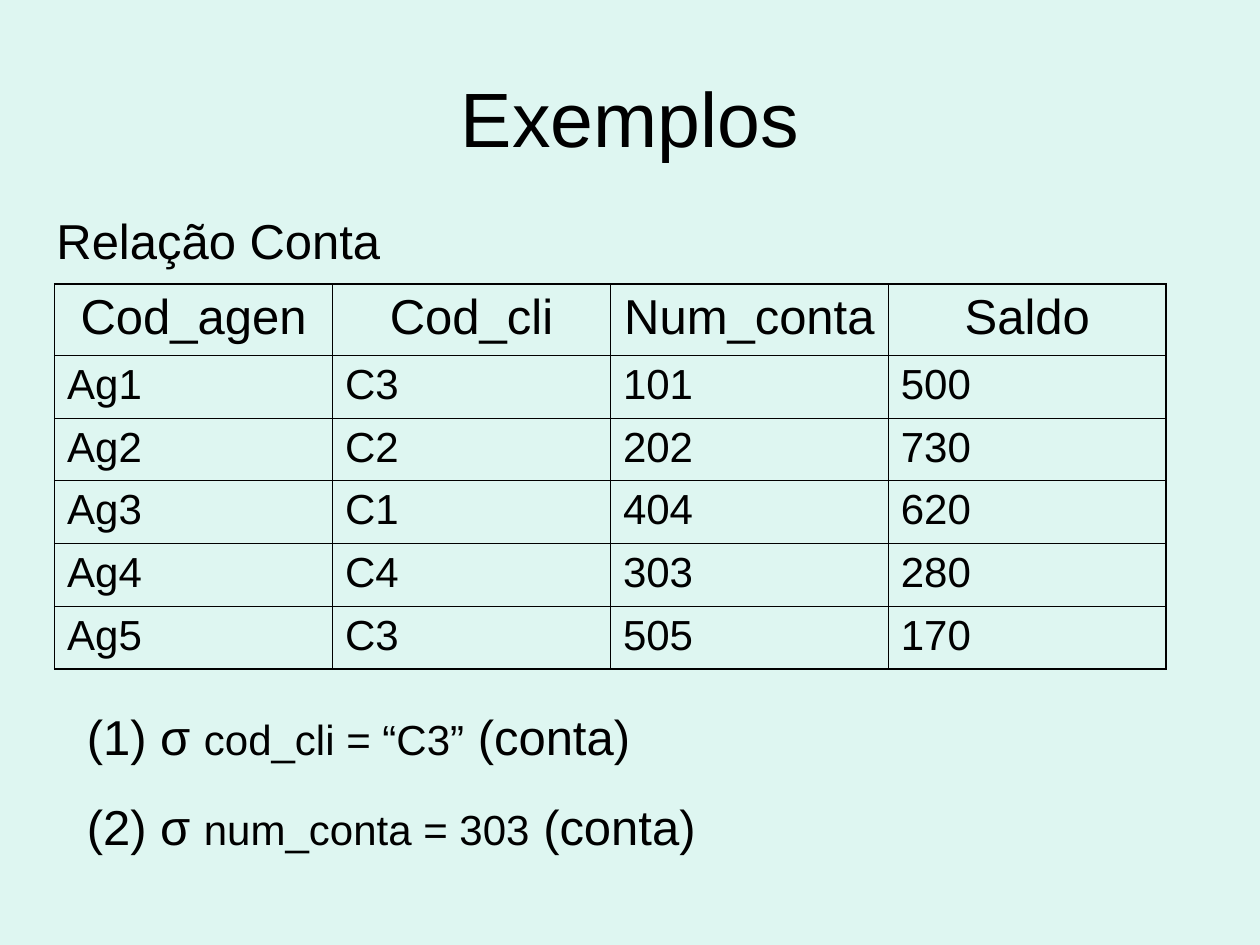
from dataclasses import dataclass

import pptx
import pptx.dml.color
import pptx.enum.text
import pptx.oxml.ns
import pptx.util
from lxml import etree

Pt = pptx.util.Pt
RGB = pptx.dml.color.RGBColor
Align = pptx.enum.text.PP_ALIGN
Anchor = pptx.enum.text.MSO_ANCHOR
Fit = pptx.enum.text.MSO_AUTO_SIZE
qn = pptx.oxml.ns.qn


@dataclass(frozen=True)
class Theme:
    face: str = "Arial"
    ink: str = "000000"
    back: str = "DEF6F1"
    title: float = 44
    large: float = 28
    small: float = 24
    thick: float = 1.08
    thin: float = 0.45


@dataclass(frozen=True)
class Part:
    text: str
    size: float


@dataclass(frozen=True)
class Box:
    left: float
    top: float
    width: float
    height: float
    lines: list[list[Part]]
    align: Align = Align.LEFT
    anchor: Anchor = Anchor.TOP
    fit: Fit = Fit.SHAPE_TO_FIT_TEXT


THEME = Theme()


def style(para, align: Align) -> None:
    """Set what all runs of a paragraph share."""
    para.alignment = align
    para.font.name = THEME.face
    para.font.color.rgb = RGB.from_string(THEME.ink)


def draw_box(slide, box: Box) -> None:
    shape = slide.shapes.add_textbox(
        Pt(box.left), Pt(box.top), Pt(box.width), Pt(box.height))
    frame = shape.text_frame
    frame.word_wrap = True
    frame.auto_size = box.fit
    frame.vertical_anchor = box.anchor
    for i, line in enumerate(box.lines):
        para = frame.add_paragraph() if i else frame.paragraphs[0]
        style(para, box.align)
        if i:
            para.space_before = Pt(17.5)
        if len({part.size for part in line}) == 1:
            para.font.size = Pt(line[0].size)
        for part in line:
            run = para.add_run()
            run.text = part.text
            if len(line) > 1:
                run.font.size = Pt(part.size)


def rule(cell, side: str, width: float) -> None:
    """Draw one border of a cell."""
    props = cell._tc.get_or_add_tcPr()
    line = etree.SubElement(props, qn(f"a:ln{side}"), w=str(Pt(width)))
    fill = etree.SubElement(line, qn("a:solidFill"))
    etree.SubElement(fill, qn("a:srgbClr"), val=THEME.ink)


def draw_table(slide, rows: list[list[str]], left: float, top: float,
               col: float, head: float, body: float) -> None:
    high, wide = len(rows), len(rows[0])
    table = slide.shapes.add_table(
        high, wide, Pt(left), Pt(top), Pt(col * wide),
        Pt(head + body * (high - 1))).table
    table.first_row = table.horz_banding = False
    for column in table.columns:
        column.width = Pt(col)
    for r, row in enumerate(rows):
        table.rows[r].height = Pt(body if r else head)
        for c, text in enumerate(row):
            cell = table.cell(r, c)
            cell.text = text
            para = cell.text_frame.paragraphs[0]
            style(para, Align.LEFT if r else Align.CENTER)
            para.font.size = Pt(THEME.small if r else THEME.large)
            # Thick lines on the outer edge, thin ones inside
            edges = {"L": c == 0, "R": c == wide - 1,
                     "T": r == 0, "B": r == high - 1}
            for side, outer in edges.items():
                rule(cell, side, THEME.thick if outer else THEME.thin)
            cell.fill.background()


def query(num: int, test: str) -> list[Part]:
    return [Part(f"({num}) σ ", THEME.large), Part(test, THEME.small),
            Part(" (conta)", THEME.large)]


ROWS = [
    ["Cod_agen", "Cod_cli", "Num_conta", "Saldo"],
    ["Ag1", "C3", "101", "500"],
    ["Ag2", "C2", "202", "730"],
    ["Ag3", "C1", "404", "620"],
    ["Ag4", "C4", "303", "280"],
    ["Ag5", "C3", "505", "170"],
]

TITLE = Box(36, 21.6, 648, 90, [[Part("Exemplos", THEME.title)]],
            Align.CENTER, Anchor.MIDDLE, Fit.NONE)
LABEL = Box(25.2, 116.6, 272, 41, [[Part("Relação Conta", THEME.large)]])
TESTS = ["cod_cli = “C3”", "num_conta = 303"]
QUERIES = Box(42.5, 400.3, 402.5, 92,
              [query(i, test) for i, test in enumerate(TESTS, 1)])


def main() -> None:
    deck = pptx.Presentation()
    deck.slide_width, deck.slide_height = Pt(720), Pt(540)
    slide = deck.slides.add_slide(deck.slide_layouts[6])
    fill = slide.background.fill
    fill.solid()
    fill.fore_color.rgb = RGB.from_string(THEME.back)

    # Heading, relation table, then the selections on it
    draw_box(slide, TITLE)
    draw_table(slide, ROWS, left=31.2, top=162.2, col=158.8, head=40.8, body=35.85)
    draw_box(slide, LABEL)
    draw_box(slide, QUERIES)
    deck.save("out.pptx")


if __name__ == "__main__":
    main()
